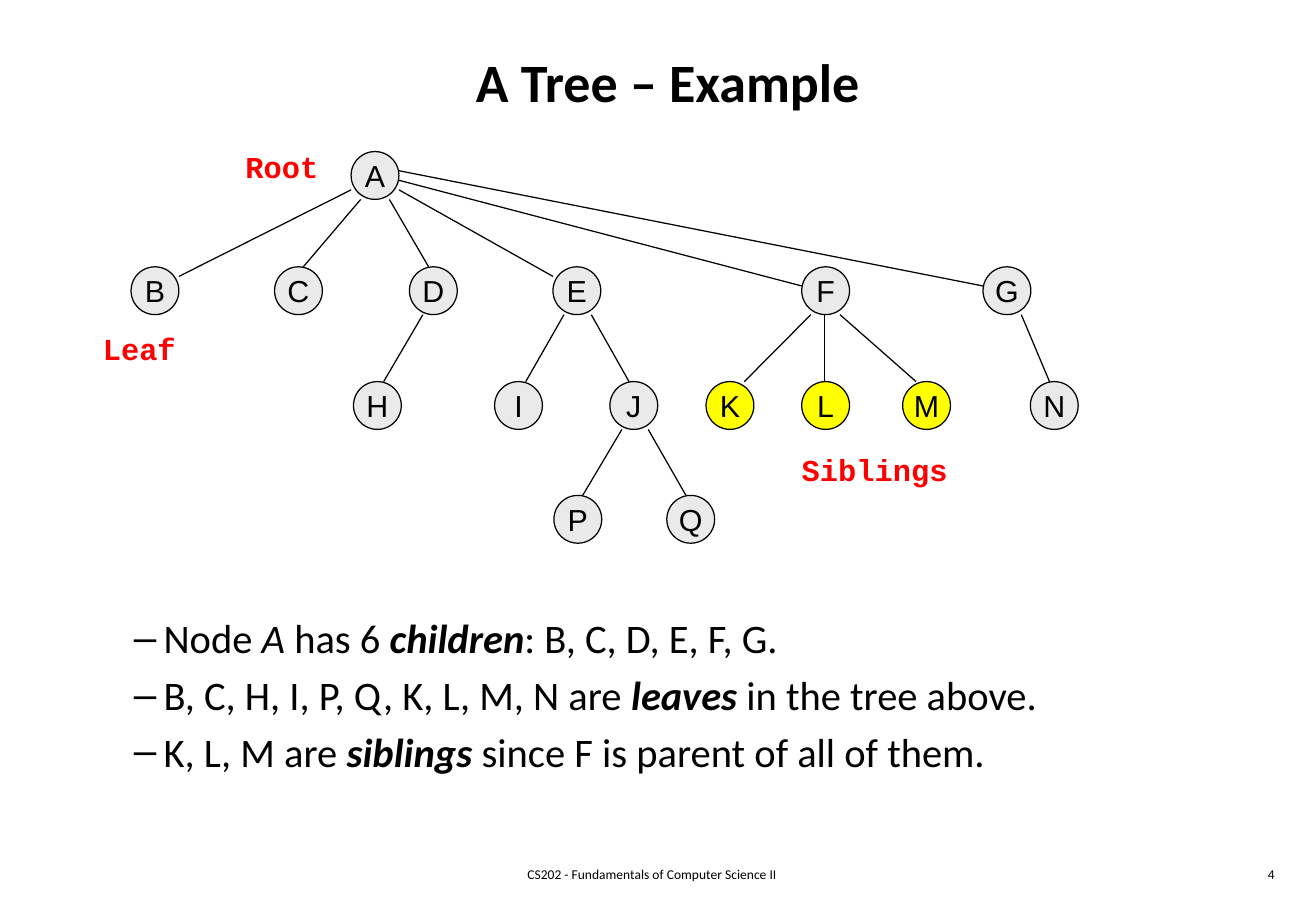
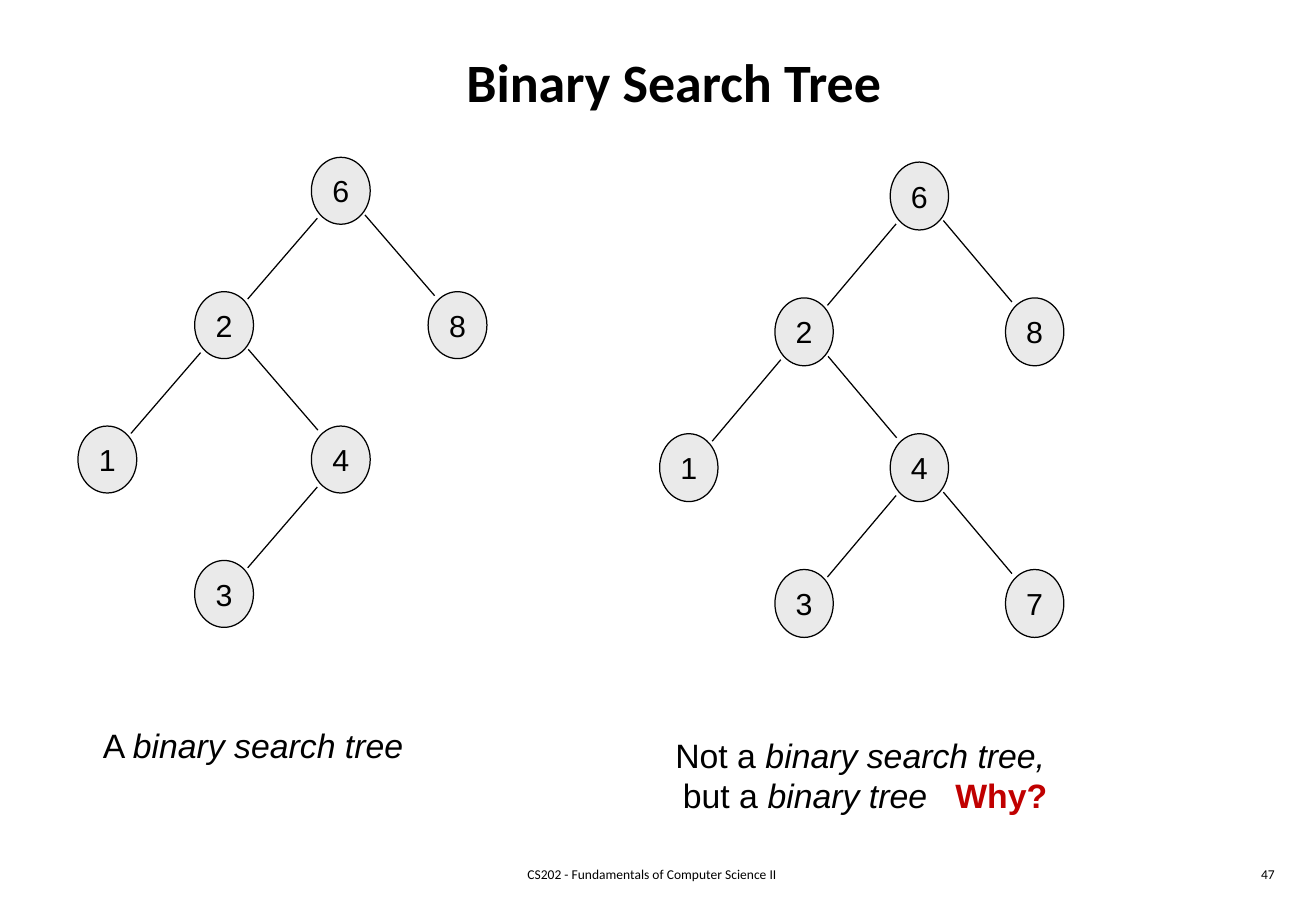
from lxml import etree
from pptx import Presentation
from pptx import util as u
from pptx.dml.color import RGBColor
from pptx.enum import shapes, text
from pptx.oxml.ns import qn

BLACK, GREY, YELLOW, RED, DARK_RED = "000000", "EAEAEA", "FFFF00", "FF0000", "C00000"
ALIGN = text.PP_ALIGN

# Content: lengths in cm, runs as (words, format changes)
FOOTER = "CS202 - Fundamentals of Computer Science II"
TITLES = {"4": "A Tree – Example ", "47": "Binary Search Tree"}

TITLE_FONT = {"name": "Calibri", "size": u.Pt(32), "bold": True}
FOOTER_FONT = {"name": "Calibri", "size": u.Pt(8)}
POINT_FONT = {"name": "Calibri", "size": u.Pt(24)}
LABEL_FONT = {"name": "Courier New", "size": u.Pt(18), "bold": True, "color": RED}
NODE_FONT = {"name": "Arial", "size": u.Pt(18)}
CAPTION_FONT = {"name": "Arial", "size": u.Pt(20)}
ITALIC = {"italic": True}
TERM = {"italic": True, "bold": True}

# Each level: top, then left of every node
LEVELS = [
    (3.17, {"A": 7.34}),
    (5.58, {"B": 2.74, "C": 5.74, "D": 8.56, "E": 11.56, "F": 16.76, "G": 20.55}),
    (7.98, {"H": 7.39, "I": 10.34, "J": 12.75, "K": 14.76, "L": 16.76,
            "M": 18.87, "N": 21.54}),
    (10.36, {"P": 11.58, "Q": 13.94}),
]
SIBLINGS = "KLM"
# Parent and child, with the joint on each as a share of the node's size
BRANCHES = [
    ("A", "B", (0, .8), (1, .2)), ("A", "C", (.2, 1), (.6, 0)),
    ("A", "D", (.8, 1), (.4, 0)), ("A", "E", (1, .8), (0, .2)),
    ("A", "F", (1, .6), (0, .4)), ("A", "G", (1, .4), (0, .4)),
    ("D", "H", (.28, 1), (.63, 0)), ("E", "I", (.23, 1), (.65, 0)),
    ("E", "J", (.8, 1), (.4, 0)), ("F", "K", (.19, 1), (.8, 0)),
    ("F", "L", (.48, 1), (.48, 0)), ("F", "M", (.8, 1), (.28, 0)),
    ("G", "N", (.8, 1), (.4, 0)), ("J", "P", (.25, 1), (.6, 0)),
    ("J", "Q", (.8, 1), (.4, 0)),
]
LABELS = [("Root ", (4.88, 2.97, 2.44, 1.02)), ("Leaf", (1.9, 6.78, 2.06, 1.02)),
          ("Siblings", (16.51, 9.32, 3.58, 1.02))]
POINTS = [
    [("Node ", {}), ("A", ITALIC), (" has 6 ", {}), ("children", TERM),
     (": B, C, D, E, F, G. ", {})],
    [("B, C, H, I, P, Q, K, L, M, N are ", {}), ("leaves", TERM),
     (" in the tree above.", {})],
    [("K, L, M are ", {}), ("siblings", TERM),
     (" since F is parent of all of them. ", {})],
]

# Binary trees: value -> (column, row), and parent-child pairs
SEARCH_CELLS = {"6": (2, 0), "2": (1, 1), "8": (3, 1), "1": (0, 2), "4": (2, 2), "3": (1, 3)}
SEARCH_PAIRS = ["62", "68", "21", "24", "43"]
BINARY_TREES = [
    {"origin": (1.63, 3.29), "step": (2.44, 2.81), "size": (1.23, 1.4),
     "cells": SEARCH_CELLS, "pairs": SEARCH_PAIRS},
    {"origin": (13.79, 3.39), "step": (2.41, 2.84), "size": (1.22, 1.42),
     "cells": {**SEARCH_CELLS, "7": (3, 3)}, "pairs": SEARCH_PAIRS + ["47"]},
]
LEFT_JOINTS = (.1, .91), (.9, .11)
RIGHT_JOINTS = (.91, .86), (.11, .06)
SEARCH_CAPTION = [[("A ", {}), ("binary search tree", ITALIC)]]
BINARY_CAPTION = [
    [("Not a ", {}), ("binary search tree, ", ITALIC)],
    [("but a ", {}), ("binary tree", ITALIC), (" ", {"spacing": 11}),
     ("Why?", {"bold": True, "color": DARK_RED})],
]


def rgb(hex_code):
    """Turn a hex string into a colour."""
    return RGBColor.from_string(hex_code)


def write(frame, paragraphs, font, align=ALIGN.LEFT):
    """Fill a text frame with paragraphs of formatted runs."""
    for index, runs in enumerate(paragraphs):
        line = frame.paragraphs[0] if index == 0 else frame.add_paragraph()
        line.alignment = align
        for words, changes in runs:
            run = line.add_run()
            run.text = words
            style = {"color": BLACK, **font, **changes}
            run.font.color.rgb = rgb(style.pop("color"))
            if "spacing" in style:
                run.font._element.set("spc", str(style.pop("spacing") * 100))
            for key, value in style.items():
                setattr(run.font, key, value)


def add_text(slide, box, paragraphs, font, align=ALIGN.LEFT, wrap=True):
    """Add a text box and return its frame."""
    frame = slide.shapes.add_textbox(*map(u.Cm, box)).text_frame
    frame.word_wrap = wrap
    write(frame, paragraphs, font, align)
    return frame


def add_node(tree, label, corner, size, fill):
    """Draw one labelled ellipse."""
    node = tree.add_shape(shapes.MSO_SHAPE.OVAL, *map(u.Cm, corner + size))
    node.shadow.inherit = False
    node.fill.solid()
    node.fill.fore_color.rgb = rgb(fill)
    node.line.color.rgb = rgb(BLACK)
    node.line.width = u.Pt(0.75)
    frame = node.text_frame
    layout = {"margin_left": 0, "margin_right": 0, "margin_top": 0, "margin_bottom": 0,
              "word_wrap": False, "vertical_anchor": text.MSO_ANCHOR.MIDDLE}
    for key, value in layout.items():
        setattr(frame, key, value)
    write(frame, [[(label, {})]], NODE_FONT, ALIGN.CENTER)


def add_branch(tree, start, end):
    """Draw a thin line between two points."""
    branch = tree.add_connector(shapes.MSO_CONNECTOR.STRAIGHT, *map(u.Cm, start + end))
    branch.line.color.rgb = rgb(BLACK)
    branch.line.width = u.Pt(0.75)
    etree.SubElement(branch._element.spPr, qn("a:effectLst"))


def add_tree(slide, corners, size, branches, highlighted=""):
    """Draw nodes and the branches that join them as one group."""
    tree = slide.shapes.add_group_shape().shapes
    for label, corner in corners.items():
        add_node(tree, label, corner, size, YELLOW if label in highlighted else GREY)
    for parent, child, *joints in branches:
        start, end = (
            tuple(c + share * s for c, share, s in zip(corners[label], joint, size))
            for label, joint in zip((parent, child), joints))
        add_branch(tree, start, end)


def add_binary_tree(slide, origin, step, size, cells, pairs):
    """Place a binary tree on a regular grid."""
    corners = {value: tuple(o + n * s for o, n, s in zip(origin, cell, step))
               for value, cell in cells.items()}
    branches = [(parent, child,
                 *(LEFT_JOINTS if cells[child][0] < cells[parent][0] else RIGHT_JOINTS))
                for parent, child in pairs]
    add_tree(slide, corners, size, branches)


def add_slide(deck, number):
    """Add a slide with its title, footer and number."""
    slide = deck.slides.add_slide(deck.slide_layouts[5])
    title = slide.shapes.title
    place = dict(zip(("left", "top", "width", "height"), (1.07, 0.43, 26.04, 2.54)))
    for key, value in place.items():
        setattr(title, key, u.Cm(value))
    title.text_frame.vertical_anchor = text.MSO_ANCHOR.MIDDLE
    write(title.text_frame, [[(TITLES[number], {})]], TITLE_FONT, ALIGN.CENTER)
    add_text(slide, (8.48, 17.98, 10.31, 0.64), [[(FOOTER, {})]], FOOTER_FONT, ALIGN.CENTER)
    add_text(slide, (21.16, 17.98, 5.74, 0.64), [[(number, {})]], FOOTER_FONT, ALIGN.RIGHT)
    return slide


def add_points(slide):
    """List the remarks with hanging dashes."""
    frame = add_text(slide, (1.9, 12.7, 20.52, 4.78), POINTS, POINT_FONT)
    for point in frame.paragraphs:
        point.level = 1
        point.space_before = u.Pt(4.8)
        props = point._p.get_or_add_pPr()
        props.set("marL", str(u.Cm(1.27)))
        props.set("indent", str(-u.Cm(0.62)))
        etree.SubElement(props, qn("a:buFont"), typeface="Arial")
        etree.SubElement(props, qn("a:buChar"), char="–")


def main():
    """Build and save both slides."""
    deck = Presentation()
    deck.slide_width, deck.slide_height = u.Cm(27.51), u.Cm(19.05)

    example = add_slide(deck, "4")
    corners = {label: (left, top) for top, row in LEVELS for label, left in row.items()}
    add_tree(example, corners, (1, 1), BRANCHES, SIBLINGS)
    add_points(example)
    for label, box in LABELS:
        add_text(example, box, [[(label, {})]], LABEL_FONT, wrap=False)

    search = add_slide(deck, "47")
    for tree in BINARY_TREES:
        add_binary_tree(search, **tree)
    add_text(search, (1.9, 15.04, 6.81, 1.09), SEARCH_CAPTION, CAPTION_FONT, wrap=False)
    add_text(search, (12.27, 15.24, 11.63, 1.98), BINARY_CAPTION, CAPTION_FONT, ALIGN.CENTER)
    deck.save("out.pptx")


main()
